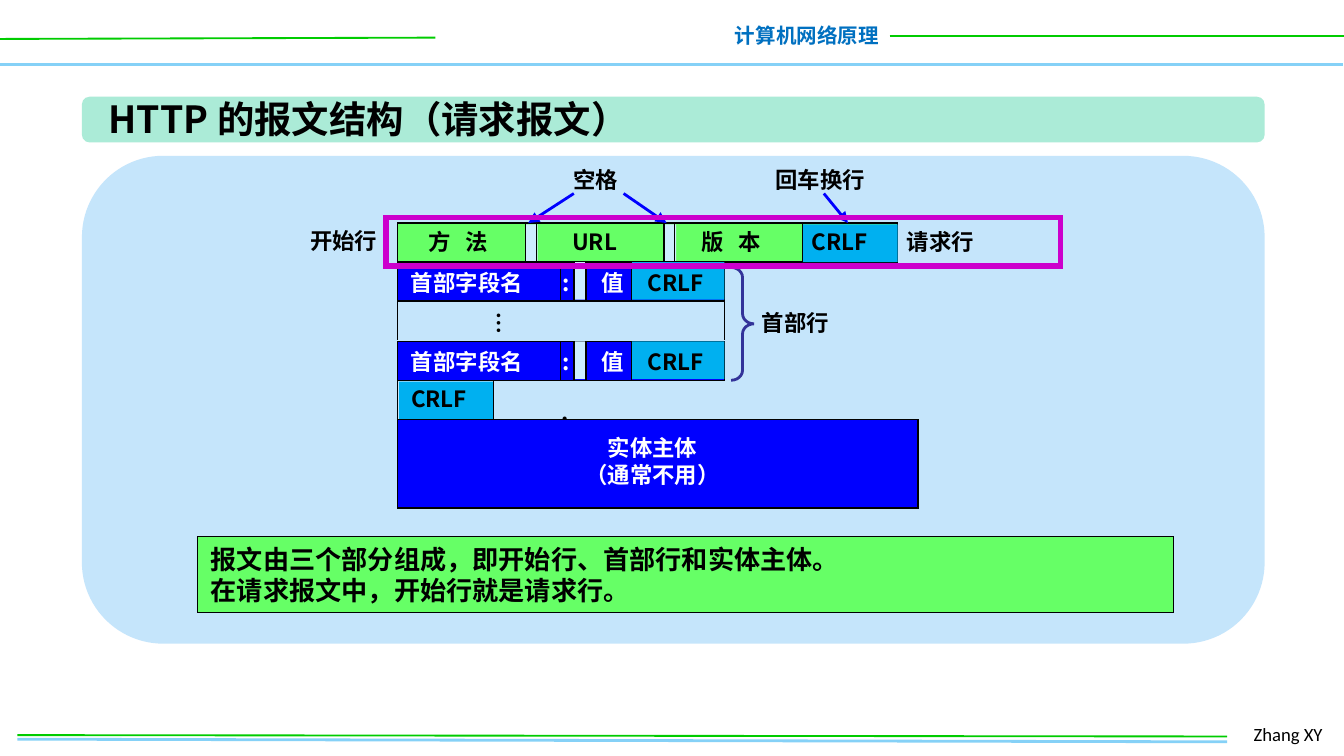
from lxml.etree import SubElement
from pptx import Presentation
from pptx.dml.color import RGBColor
from pptx.enum.shapes import MSO_CONNECTOR as Connector, MSO_SHAPE as Shape
from pptx.enum.text import MSO_ANCHOR as Anchor, MSO_AUTO_SIZE as AutoSize, PP_ALIGN as Align
from pptx.oxml.ns import qn
from pptx.util import Pt

EMU_PER_PX = 9144

BLACK = RGBColor(0x00, 0x00, 0x00)
WHITE = RGBColor(0xFF, 0xFF, 0xFF)
BLUE = RGBColor(0x00, 0x00, 0xFF)
CYAN = RGBColor(0x00, 0xB0, 0xF0)
LIME = RGBColor(0x66, 0xFF, 0x66)
PALE = RGBColor(0xCC, 0xEC, 0xFF)
PANEL = RGBColor(0xC5, 0xE5, 0xFB)
MINT = RGBColor(0xAB, 0xEB, 0xD7)
SKY = RGBColor(0x85, 0xD1, 0xF7)
GREEN = RGBColor(0x00, 0xCC, 0x00)
HEADING = RGBColor(0x00, 0x70, 0xC0)
INDIGO = RGBColor(0x33, 0x33, 0x99)
MAGENTA = RGBColor(0xCC, 0x00, 0xCC)

CJK_FONT = "Noto Sans CJK SC"


def px(value):
    return value * EMU_PER_PX


def write_text(frame, text, size=12, color=BLACK, font=CJK_FONT, bold=True,
               align=Align.LEFT, spacing=0):
    for index, line in enumerate(text.split("\n")):
        paragraph = frame.add_paragraph() if index else frame.paragraphs[0]
        paragraph.alignment = align
        paragraph.line_spacing = Pt(size * 1.2)
        run = paragraph.add_run()
        run.text = line
        run.font.size = Pt(size)
        run.font.bold = bold
        run.font.color.rgb = color
        run.font.name = font
        properties = run.font._element
        SubElement(properties, qn("a:ea")).set("typeface", font)
        if spacing:
            properties.set("spc", str(spacing))


class Diagram:
    def __init__(self, slide):
        self.slide = slide

    def box(self, left, top, width, height, fill=None, line=None,
            weight=0.75, kind=Shape.RECTANGLE):
        shape = self.slide.shapes.add_shape(kind, px(left), px(top), px(width), px(height))
        shape.shadow.inherit = False
        if fill is None:
            shape.fill.background()
        else:
            shape.fill.solid()
            shape.fill.fore_color.rgb = fill
        if line is None:
            shape.line.fill.background()
        else:
            shape.line.color.rgb = line
            shape.line.width = Pt(weight)
            SubElement(shape.line._get_or_add_ln(), qn("a:miter")).set("lim", "800000")
        return shape

    def label(self, text, left, top, width, height=30, wrap=False, **style):
        shape = self.slide.shapes.add_textbox(px(left), px(top), px(width), px(height))
        frame = shape.text_frame
        frame.word_wrap = wrap
        frame.auto_size = AutoSize.SHAPE_TO_FIT_TEXT
        write_text(frame, text, **style)
        return shape

    def line(self, start, end, color=BLACK, weight=0.75, arrow=False):
        connector = self.slide.shapes.add_connector(
            Connector.STRAIGHT, px(start[0]), px(start[1]), px(end[0]), px(end[1]))
        connector.line.color.rgb = color
        connector.line.width = Pt(weight)
        if arrow:
            SubElement(connector.line._get_or_add_ln(), qn("a:tailEnd")).set("type", "triangle")
        SubElement(connector._element.spPr, qn("a:effectLst"))

    def dividers(self, top, positions):
        for left in positions:
            self.line((left, top), (left, top + 29))


def draw_frame(diagram):
    diagram.line((-1, 48), (999, 48), SKY, 2)
    diagram.line((0, 29), (324, 28), GREEN, 1)
    diagram.label("计算机网络原理", 536, 12, 128, 29, size=11, color=HEADING, align=Align.RIGHT)
    diagram.line((662, 27), (1001, 27), GREEN, 1)
    diagram.line((13, 550), (913, 552), SKY, 1.5)
    diagram.label("Zhang XY", 923, 533, 74, 27, wrap=True, size=10, font="Calibri", bold=False)
    diagram.line((13, 547), (913, 548), GREEN, 1)
    diagram.box(61, 116, 880, 363, PANEL, kind=Shape.ROUNDED_RECTANGLE)
    diagram.box(61, 72, 880, 34, MINT, kind=Shape.ROUNDED_RECTANGLE)
    diagram.label("HTTP 的报文结构（请求报文）", 71, 67, 414, 44, size=20)


def draw_request_line(diagram):
    diagram.box(296, 166, 372, 29, LIME, BLACK)
    diagram.box(597, 167, 71, 28, CYAN)
    for left in (391, 494):
        diagram.box(left, 167, 9, 28, PALE)
    diagram.dividers(166, (391, 399, 494, 502, 597))
    diagram.label("方 法", 309, 165, 69, spacing=270)
    diagram.label("URL", 416, 165, 54)
    diagram.label("版 本", 512, 165, 69, spacing=270)
    diagram.label("CRLF", 594, 165, 62)
    diagram.label("请求行", 665, 165, 71)


def draw_header_row(diagram, top):
    diagram.box(296, top, 243, 29, BLUE, BLACK)
    diagram.box(470, top, 69, 28, CYAN)
    diagram.box(427, top, 9, 28, PALE)
    diagram.dividers(top, (417, 427, 436, 470))
    diagram.label("首部字段名", 296, top, 104, color=WHITE)
    diagram.label(":", 409, top, 25, color=WHITE)
    diagram.label("值", 438, top, 37, color=WHITE)
    diagram.label("CRLF", 472, top, 62)


def draw_body(diagram):
    diagram.box(297, 284, 70, 28, CYAN)
    diagram.label("CRLF", 296, 282, 62)
    diagram.label(":", 408, 298, 25)
    diagram.label("…", 353, 226, 36).rotation = 270
    diagram.box(296, 312, 387, 66, BLUE, BLACK)
    diagram.label("实体主体\n（通常不用）", 425, 318, 121, 50, color=WHITE, align=Align.CENTER)
    diagram.dividers(224, (296, 539))
    diagram.dividers(283, (296, 367))


def draw_annotations(diagram):
    diagram.box(544, 199, 17, 84, line=INDIGO, weight=1.5,
                kind=Shape.RIGHT_BRACE).adjustments[0] = 0.44
    diagram.label("首部行", 557, 225, 71)
    diagram.label("空格", 417, 119, 54)
    diagram.label("回车换行", 567, 119, 88)
    for start, end in ((464, 496), (427, 393), (613, 631)):
        diagram.line((start, 144), (end, 166), BLUE, 1.5, arrow=True)
    diagram.box(287, 162, 502, 36, line=MAGENTA, weight=3)
    diagram.label("开始行", 221, 164, 71)
    frame = diagram.box(147, 399, 726, 57, LIME, BLACK).text_frame
    frame.word_wrap = True
    frame.vertical_anchor = Anchor.MIDDLE
    write_text(frame, "报文由三个部分组成，即开始行、首部行和实体主体。\n"
                      "在请求报文中，开始行就是请求行。", size=14)


def main():
    presentation = Presentation()
    presentation.slide_width = px(1000)
    presentation.slide_height = px(1000) * 9 // 16
    diagram = Diagram(presentation.slides.add_slide(presentation.slide_layouts[6]))
    draw_frame(diagram)
    draw_request_line(diagram)
    for top in (195, 254):
        draw_header_row(diagram, top)
    draw_body(diagram)
    draw_annotations(diagram)
    presentation.save("out.pptx")


if __name__ == "__main__":
    main()
